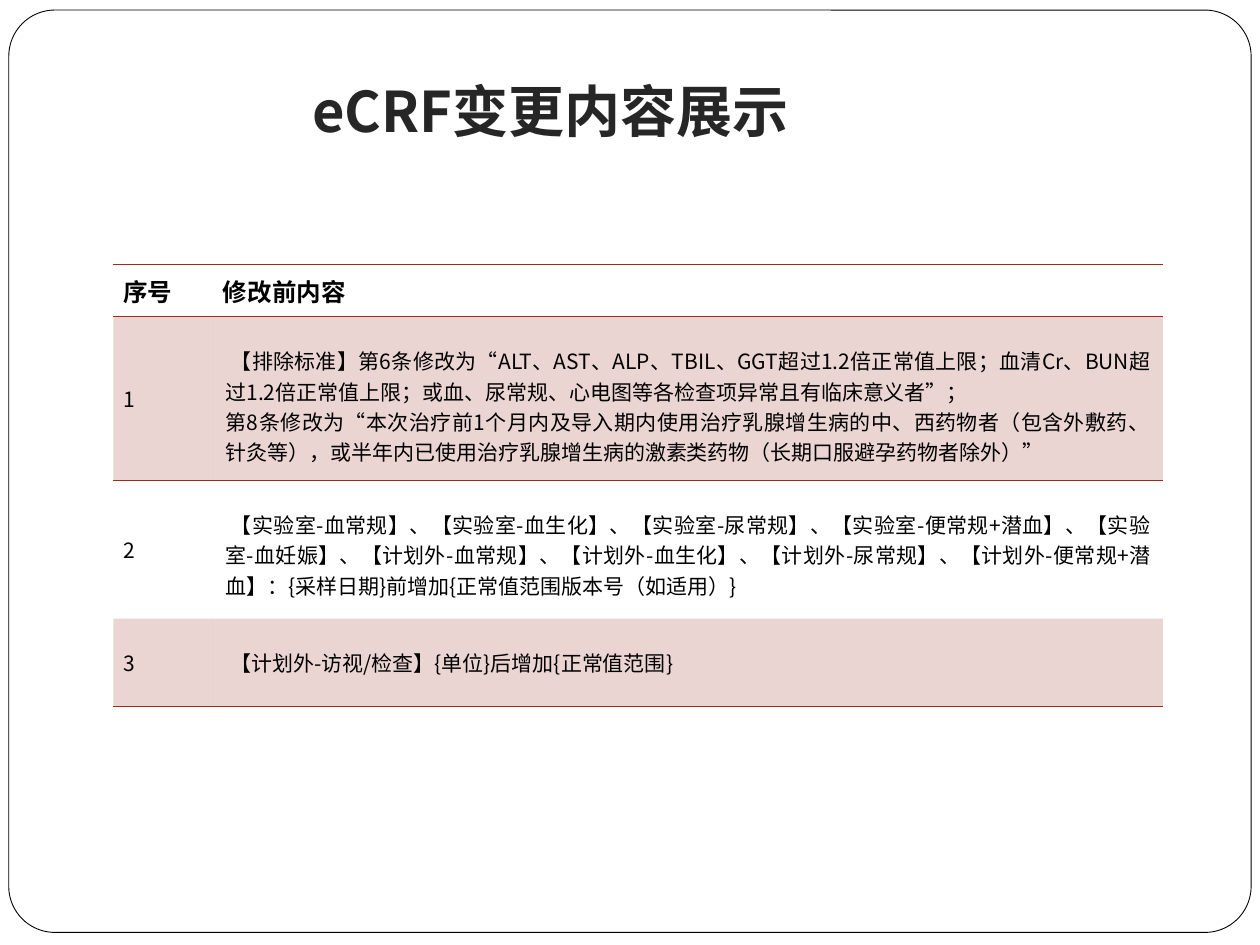
"""Build a slide that lists the changes made to an eCRF."""
import pptx
import pptx.dml.color
import pptx.enum.shapes
import pptx.enum.text
import pptx.oxml
import pptx.oxml.ns
import pptx.util
from lxml import etree

Inches, Pt = pptx.util.Inches, pptx.util.Pt
Color = pptx.dml.color.RGBColor.from_string
qn = pptx.oxml.ns.qn
Align, Anchor = pptx.enum.text.PP_ALIGN, pptx.enum.text.MSO_ANCHOR
theme = {
    "font": "Noto Sans CJK SC",
    "title": 32, "head": 14, "body": 12,
    "ink": "000000", "dark": "262626", "paper": "FFFFFF", "red": "9B2D1F",
}


def write(par, text, size, bold=False, color="ink"):
    """Add one run of text to a paragraph."""
    run = par.add_run()
    run.text = text
    run.font.size = Pt(theme[size])
    run.font.bold = bold
    run.font.color.rgb = Color(theme[color])
    run.font.name = theme["font"]
    etree.SubElement(run.font._element, qn("a:ea"), typeface=theme["font"])


def rule(cell, side):
    """Draw a thin red line on one side of a cell."""
    line = etree.SubElement(cell._tc.get_or_add_tcPr(), qn("a:" + side), w=str(Pt(0.45)))
    fill = etree.SubElement(line, qn("a:solidFill"))
    etree.SubElement(fill, qn("a:srgbClr"), val=theme["red"])


deck = pptx.Presentation()
deck.slide_width, deck.slide_height = Inches(10), Inches(7.5)
slide = deck.slides.add_slide(deck.slide_layouts[6])

frame = slide.shapes.add_shape(
    pptx.enum.shapes.MSO_SHAPE.ROUNDED_RECTANGLE,
    Inches(0.07), Inches(0.08), Inches(9.86), Inches(7.32))
frame.adjustments[0] = 0.05
frame.shadow.inherit = False
frame.fill.solid()
frame.fill.fore_color.rgb = Color(theme["paper"])
frame.line.color.rgb = Color(theme["ink"])
frame.line.width = Pt(0.5)

title = slide.shapes.add_textbox(Inches(2.38), Inches(0.52), Inches(4.06), Inches(0.64)).text_frame
title.word_wrap = True
title.margin_top = Inches(0.09)
title.paragraphs[0].line_spacing = Pt(38.4)
write(title.paragraphs[0], "eCRF变更内容展示", "title", True, "dark")

rows = [
    ("序号", ["修改前内容"]),
    ("1", [" 【排除标准】第6条修改为“ALT、AST、ALP、TBIL、GGT超过1.2倍正常值上限；血清Cr、BUN超过1.2倍正常值上限；或血、尿常规、心电图等各检查项异常且有临床意义者”；",
           "第8条修改为“本次治疗前1个月内及导入期内使用治疗乳腺增生病的中、西药物者（包含外敷药、针灸等），或半年内已使用治疗乳腺增生病的激素类药物（长期口服避孕药物者除外）”"]),
    ("2", [" 【实验室-血常规】、【实验室-血生化】、【实验室-尿常规】、【实验室-便常规+潜血】、【实验室-血妊娠】、【计划外-血常规】、【计划外-血生化】、【计划外-尿常规】、【计划外-便常规+潜血】：{采样日期}前增加{正常值范围版本号（如适用）}"]),
    ("3", [" 【计划外-访视/检查】{单位}后增加{正常值范围}"]),
]
table = slide.shapes.add_table(
    len(rows), 2, Inches(0.9), Inches(2.1), Inches(8.33), Inches(3.51)).table
table._tbl.tblPr.find(qn("a:tableStyleId")).text = "{2D5ABB26-0587-4C30-8999-92F81FD0307C}"
for col, width in zip(table.columns, (0.79, 7.54)):
    col.width = Inches(width)
for row, height in zip(table.rows, (0.41, 1.3, 1.1, 0.7)):
    row.height = Inches(height)

for r, (number, lines) in enumerate(rows):
    for c, texts in enumerate(([number], lines)):
        cell = table.cell(r, c)
        long = r > 0 and c == 1
        cell.margin_left = cell.margin_right = Inches(0.1 if long else 0.08)
        cell.margin_top = Inches(0.23 if long else 0.05)
        cell.margin_bottom = Inches(0.05)
        cell.vertical_anchor = Anchor.TOP if long else Anchor.MIDDLE
        if r < 2:
            rule(cell, "lnT")
        if r in (0, len(rows) - 1):
            rule(cell, "lnB")
        if r % 2:
            cell.fill.solid()
            cell.fill.fore_color.rgb = Color(theme["red"])
            tint = cell._tc.tcPr.find(qn("a:solidFill")).find(qn("a:srgbClr"))
            etree.SubElement(tint, qn("a:alpha"), val="20000")
        else:
            cell.fill.background()
        for i, text in enumerate(texts):
            par = cell.text_frame.add_paragraph() if i else cell.text_frame.paragraphs[0]
            par.alignment = Align.JUSTIFY if c else Align.LEFT
            write(par, text, "body" if r else "head", r == 0)

deck.save("out.pptx")
